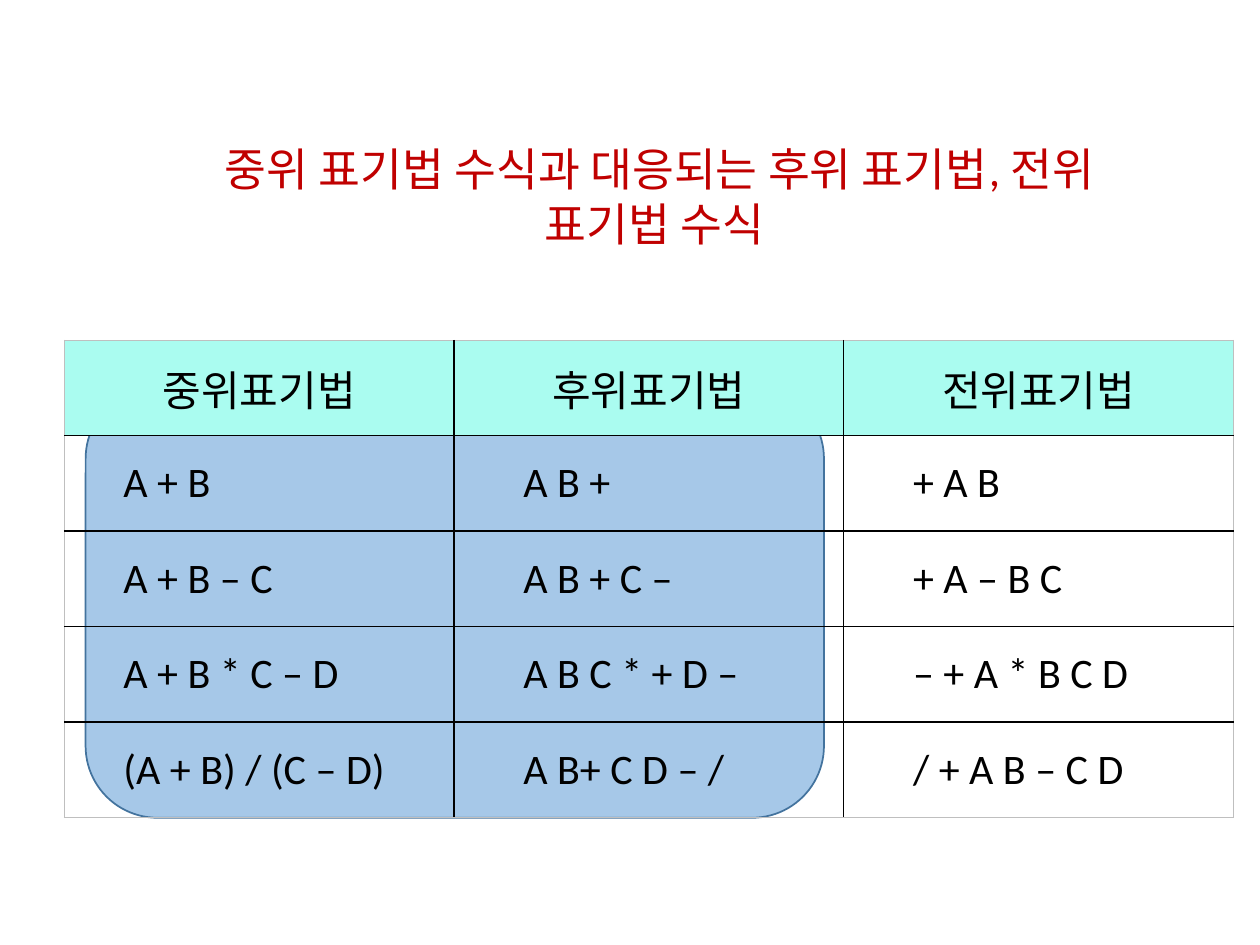
from dataclasses import dataclass

from lxml import etree
from pptx import Presentation
from pptx.dml.color import RGBColor
from pptx.enum import shapes, text
from pptx.oxml import ns
from pptx.util import Inches, Pt


@dataclass(frozen=True)
class Theme:
    font: str = "Calibri"
    title_size: int = 26
    cell_size: int = 24
    title: str = "C00000"
    ink: str = "000000"
    header: str = "AAFCF0"
    frame: str = "BFBFBF"
    panel: str = "5B9BD5"
    panel_line: str = "43739E"
    panel_opacity: int = 54


THEME = Theme()
TITLE = " 중위 표기법 수식과 대응되는 후위 표기법, 전위 표기법 수식"
NOTATIONS = [
    ("중위표기법", "후위표기법", "전위표기법"),
    ("A + B", "A B +", "+ A B"),
    ("A + B – C", "A B + C –", "+ A – B C"),
    ("A + B * C – D", "A B C * + D –", "– + A * B C D"),
    ("(A + B) / (C – D)", "A B+ C D – /", "/ + A B – C D"),
]
INDENTS = (0.47, 0.55, 0.55)


def write(frame, words, size, color, align=text.PP_ALIGN.LEFT):
    paragraph = frame.paragraphs[0]
    paragraph.alignment = align
    run = paragraph.add_run()
    run.text = words
    run.font.name = THEME.font
    run.font.size = Pt(size)
    run.font.color.rgb = RGBColor.from_string(color)


def set_borders(cell, colors):
    properties = cell._tc.get_or_add_tcPr()
    for position, (side, color) in enumerate(colors.items()):
        width = Pt(0.5) if color == THEME.frame else Pt(1)
        line = etree.Element(ns.qn(f"a:ln{side}"), w=str(width))
        fill = etree.SubElement(line, ns.qn("a:solidFill"))
        etree.SubElement(fill, ns.qn("a:srgbClr"), val=color)
        properties.insert(position, line)


def add_title(slide, left, top, width, height):
    title = slide.shapes.add_textbox(left, top, width, height).text_frame
    title.word_wrap = True
    title.auto_size = text.MSO_AUTO_SIZE.SHAPE_TO_FIT_TEXT
    write(title, TITLE, THEME.title_size, THEME.title, text.PP_ALIGN.CENTER)


def add_highlight(slide, left, top, width, height):
    panel = slide.shapes.add_shape(
        shapes.MSO_SHAPE.ROUNDED_RECTANGLE, left, top, width, height)
    panel.shadow.inherit = False
    panel.fill.solid()
    panel.fill.fore_color.rgb = RGBColor.from_string(THEME.panel)
    color = panel.fill._xPr.find(".//" + ns.qn("a:srgbClr"))
    etree.SubElement(color, ns.qn("a:alpha"), val=str(THEME.panel_opacity * 1000))
    panel.line.color.rgb = RGBColor.from_string(THEME.panel_line)
    panel.line.width = Pt(1)


def add_notation_table(slide, left, top, width, height):
    last_row, last_column = len(NOTATIONS) - 1, len(INDENTS) - 1
    table = slide.shapes.add_table(
        last_row + 1, last_column + 1, left, top, width, height).table
    table.first_row = table.horz_banding = False
    for row, notations in enumerate(NOTATIONS):
        for column, notation in enumerate(notations):
            cell = table.cell(row, column)
            cell.vertical_anchor = text.MSO_ANCHOR.MIDDLE
            if row == 0:
                cell.fill.solid()
                cell.fill.fore_color.rgb = RGBColor.from_string(THEME.header)
                align = text.PP_ALIGN.CENTER
            else:
                cell.fill.background()
                cell.margin_left = Inches(INDENTS[column])
                align = text.PP_ALIGN.LEFT
            write(cell.text_frame, notation, THEME.cell_size, THEME.ink, align)
            on_edge = {"L": column == 0, "R": column == last_column,
                       "T": row == 0, "B": row == last_row}
            set_borders(cell, {side: THEME.frame if edge else THEME.ink
                               for side, edge in on_edge.items()})


def main():
    deck = Presentation()
    deck.slide_width, deck.slide_height = Inches(10), Inches(7.5)
    slide = deck.slides.add_slide(deck.slide_layouts[6])
    add_highlight(slide, Inches(0.68), Inches(3.07), Inches(5.86), Inches(3.42))
    add_notation_table(slide, Inches(0.51), Inches(2.7), Inches(9.28), Inches(3.79))
    add_title(slide, Inches(1.11), Inches(1.07), Inches(8.17), Inches(0.98))
    deck.save("out.pptx")


if __name__ == "__main__":
    main()
